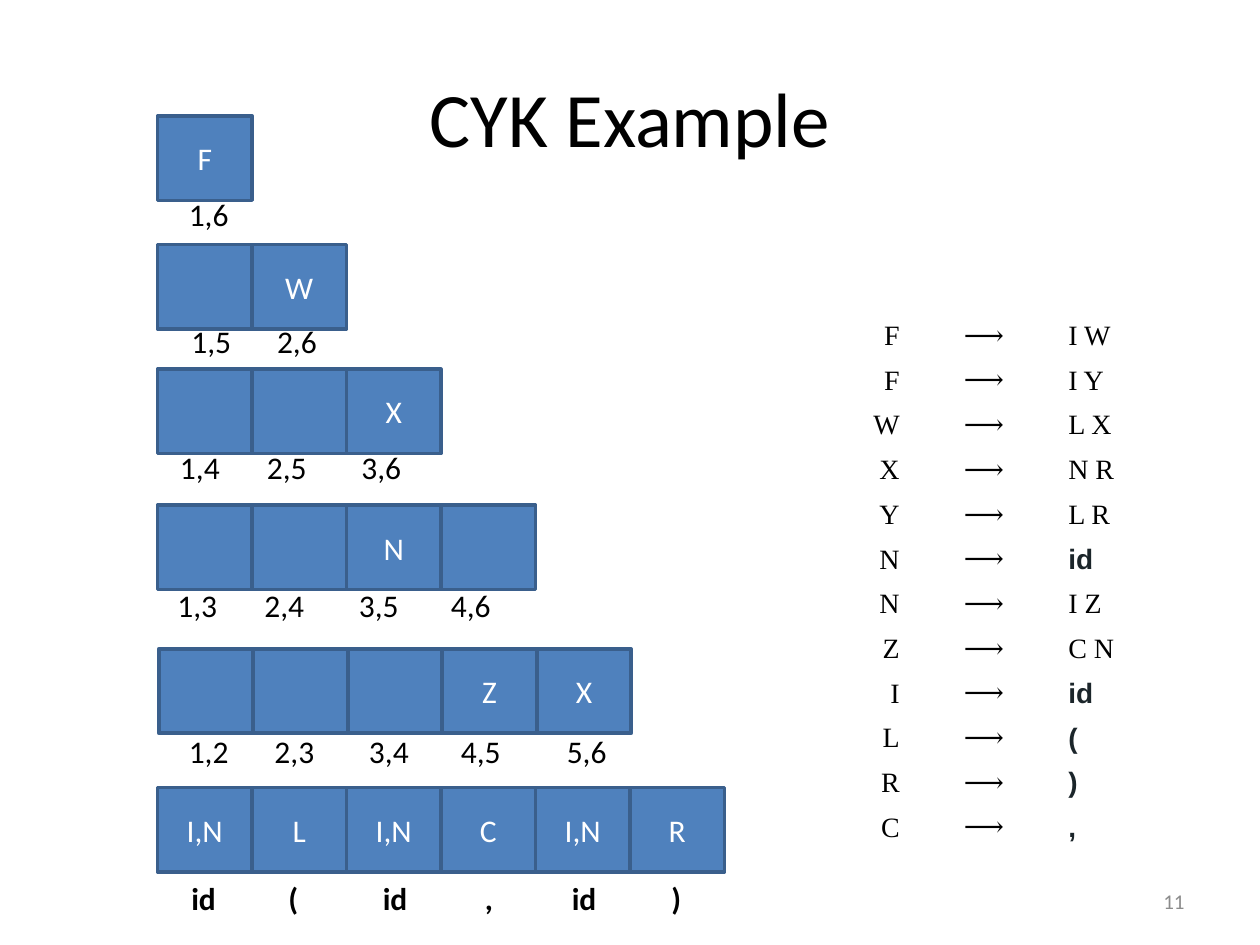
from dataclasses import dataclass

from pptx import Presentation
from pptx.dml.color import RGBColor
from pptx.enum.shapes import MSO_SHAPE
from pptx.enum.text import MSO_ANCHOR, MSO_AUTO_SIZE, PP_ALIGN
from pptx.util import Pt

RECTANGLE = MSO_SHAPE.RECTANGLE
TOP, MIDDLE = MSO_ANCHOR.TOP, MSO_ANCHOR.MIDDLE
LEFT, CENTER, RIGHT = PP_ALIGN.LEFT, PP_ALIGN.CENTER, PP_ALIGN.RIGHT
FIT_SHAPE = MSO_AUTO_SIZE.SHAPE_TO_FIT_TEXT

PX = 9144
CELL_WIDTH, CELL_HEIGHT = 75, 67
LABEL_WIDTH, LABEL_HEIGHT = 52, 40
TOKEN_TOP = 693

CHART_ROWS = [
    (125, 92, ["F"], 150, [140]),
    (125, 194, ["", "W"], 251, [142, 210]),
    (125, 293, ["", "", "X"], 351, [133, 202, 277]),
    (125, 401, ["", "", "N", ""], 460, [131, 200, 275, 348]),
    (126, 515, ["", "", "", "Z", "X"], 576, [140, 208, 283, 356, 440]),
    (125, 625, ["I,N", "L", "I,N", "C", "I,N", "R"], 0, []),
]
TOKENS = [("id", 142, 40), ("(", 219, 28), ("id", 294, 40),
          (",", 375, 27), ("id", 444, 40), (")", 523, 28)]
RULES = [("F", "I W"), ("F", "I Y"), ("W", "L X"), ("X", "N R"),
         ("Y", "L R"), ("N", "id"), ("N", "I Z"), ("Z", "C N"),
         ("I", "id"), ("L", "("), ("R", ")"), ("C", ",")]
TERMINALS = {"id", "(", ")", ","}


@dataclass(frozen=True)
class Theme:
    text: str = "000000"
    muted: str = "8C8C8C"
    terminal: str = "1B252A"
    white: str = "FFFFFF"
    box: str = "4F81BD"
    outline: str = "3A5F8C"
    body_font: str = "Calibri"
    rule_font: str = "Times New Roman"
    arrow_font: str = "Cambria"
    terminal_font: str = "Arial"
    title_size: int = 44
    body_size: int = 18
    rule_size: int = 16
    number_size: int = 12


class SlideBuilder:
    """Draws styled elements on one slide, with lengths in px."""

    def __init__(self, slide, theme):
        self.slide = slide
        self.theme = theme

    def set_text(self, frame, text, size, color, align=LEFT, font_name=None, bold=False):
        paragraph = frame.paragraphs[0]
        paragraph.text = text
        paragraph.alignment = align
        font = paragraph.font
        font.name = font_name or self.theme.body_font
        font.size = Pt(size)
        font.bold = bold
        font.color.rgb = RGBColor.from_string(color)

    def text(self, left, top, width, height, text, size, color, align=LEFT):
        box = self.slide.shapes.add_textbox(left * PX, top * PX, width * PX, height * PX)
        frame = box.text_frame
        frame.word_wrap = True
        frame.vertical_anchor = MIDDLE
        self.set_text(frame, text, size, color, align)

    def label(self, left, top, width, text, bold=False):
        box = self.slide.shapes.add_textbox(
            left * PX, top * PX, width * PX, LABEL_HEIGHT * PX)
        frame = box.text_frame
        frame.word_wrap = False
        frame.auto_size = FIT_SHAPE
        frame.vertical_anchor = TOP
        self.set_text(frame, text, self.theme.body_size, self.theme.text, bold=bold)

    def box(self, left, top, text):
        shape = self.slide.shapes.add_shape(
            RECTANGLE, left * PX, top * PX, CELL_WIDTH * PX, CELL_HEIGHT * PX)
        shape.shadow.inherit = False
        shape.fill.solid()
        shape.fill.fore_color.rgb = RGBColor.from_string(self.theme.box)
        shape.line.color.rgb = RGBColor.from_string(self.theme.outline)
        shape.line.width = Pt(2)
        if text:
            shape.text_frame.vertical_anchor = MIDDLE
            self.set_text(shape.text_frame, text, self.theme.body_size,
                          self.theme.white, CENTER)

    def grammar(self, left, top, widths, height, rules):
        theme = self.theme
        table = self.slide.shapes.add_table(
            len(rules), len(widths), left * PX, top * PX,
            sum(widths) * PX, height * PX).table
        table.first_row = False
        table.horz_banding = False
        for column, width in zip(table.columns, widths):
            column.width = width * PX
        for row, (head, body) in zip(table.rows, rules):
            terminal = body in TERMINALS
            entries = [
                (head, RIGHT, theme.rule_font, theme.text, False),
                ("⟶", CENTER, theme.arrow_font, theme.text, False),
                (body, LEFT, theme.terminal_font if terminal else theme.rule_font,
                 theme.terminal if terminal else theme.text, terminal),
            ]
            for cell, (text, align, font_name, color, bold) in zip(row.cells, entries):
                cell.fill.solid()
                cell.fill.fore_color.rgb = RGBColor.from_string(theme.white)
                cell.vertical_anchor = MIDDLE
                cell.margin_left = cell.margin_right = 9 * PX
                cell.margin_top = cell.margin_bottom = 4 * PX
                self.set_text(cell.text_frame, text, theme.rule_size, color,
                              align, font_name, bold)


def main():
    presentation = Presentation()
    presentation.slide_width = 1000 * PX
    presentation.slide_height = 750 * PX
    theme = Theme()
    slide = presentation.slides.add_slide(presentation.slide_layouts[6])
    builder = SlideBuilder(slide, theme)

    builder.text(50, 30, 900, 125, "CYK Example", theme.title_size, theme.text, CENTER)
    builder.text(717, 695, 233, 40, "11", theme.number_size, theme.muted, RIGHT)

    token_count = len(TOKENS)
    for left, top, symbols, label_top, label_lefts in CHART_ROWS:
        for index, symbol in enumerate(symbols):
            builder.box(left + index * CELL_WIDTH, top, symbol)
        for start, label_left in enumerate(label_lefts, 1):
            end = start + token_count - len(symbols)
            builder.label(label_left, label_top, LABEL_WIDTH, f"{start},{end}")

    for token, left, width in TOKENS:
        builder.label(left, TOKEN_TOP, width, token, bold=True)

    builder.grammar(611, 249, [112, 116, 112], 426, RULES)
    presentation.save("out.pptx")


if __name__ == "__main__":
    main()
